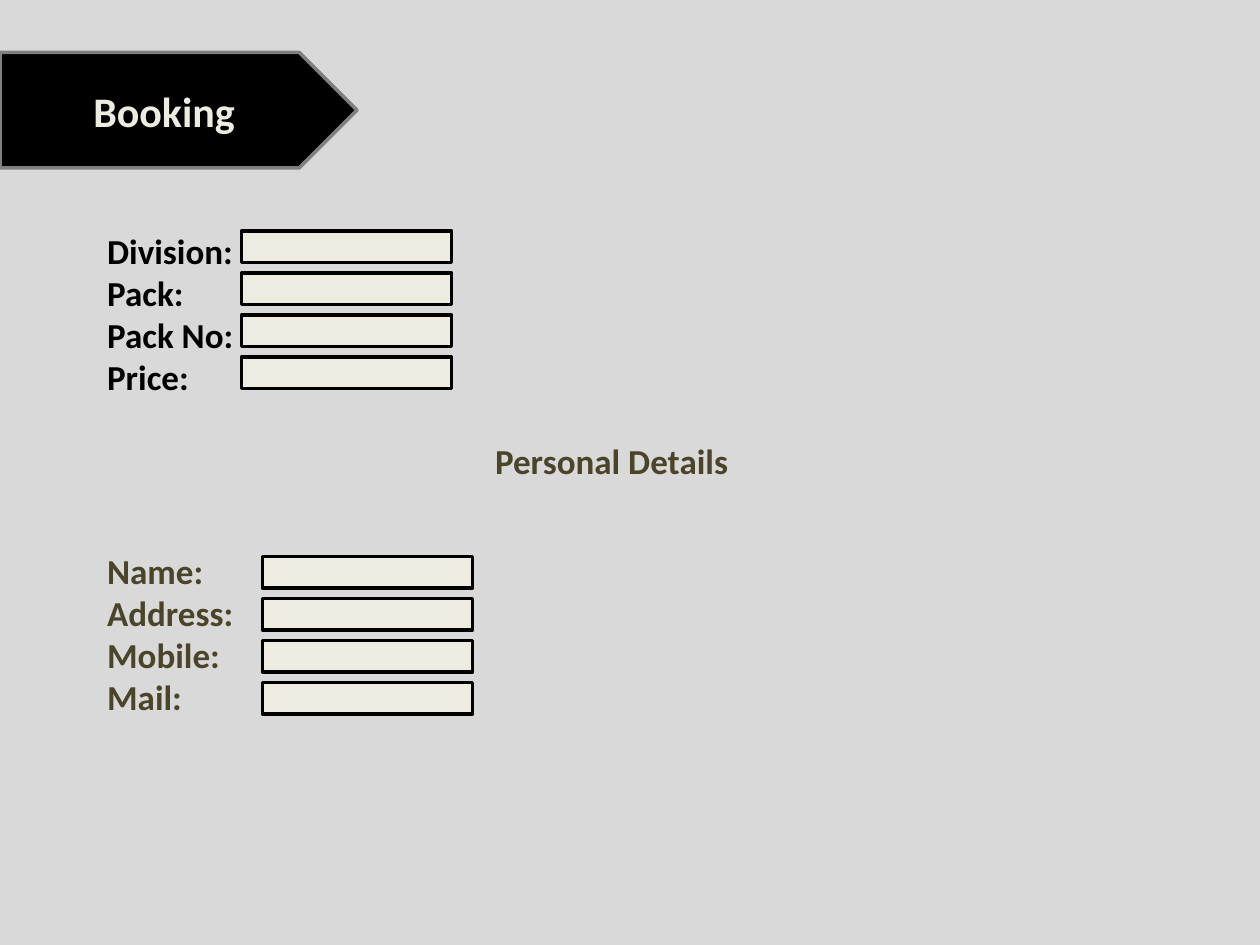
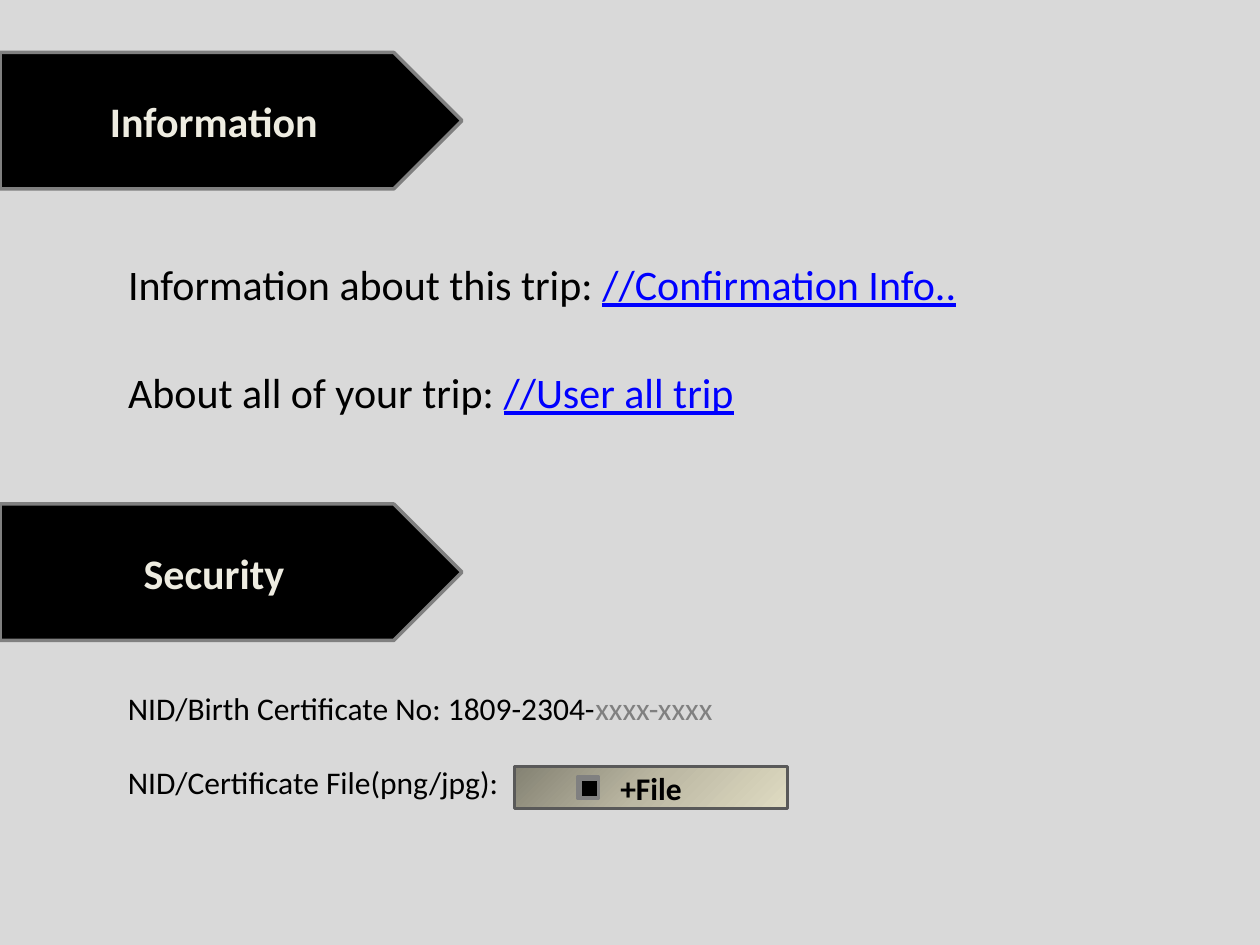
from copy import deepcopy
from pptx import Presentation
from pptx.dml.color import RGBColor
from pptx.enum.shapes import MSO_SHAPE
from pptx.enum.text import MSO_ANCHOR, MSO_AUTO_SIZE, PP_ALIGN
from pptx.oxml.ns import qn
from pptx.util import Inches, Pt

FONT = "Calibri"
BLACK, CREAM, GREY = "000000", "EEECE1", "808080"
OLIVE, BLUE, SLATE, PAPER = "4A452A", "0000FF", "595959", "D9D9D9"
SHADES = [(0, "848273"), (0.5, "BCB8A3"), (1, "DFDBC2")]
TOP = 5


def grid(*cells):
    return [Inches(cell / 12) for cell in cells]


def color(code):
    return RGBColor.from_string(code)


def paint(fill, code):
    fill.solid()
    fill.fore_color.rgb = color(code)


def style(run, size, code, bold=False, line=False):
    font = run.font
    font.name, font.size, font.bold = FONT, Pt(size), bold
    font.underline = line
    font.color.rgb = color(code)


def label(frame, text, size, code):
    frame.text = text
    frame.vertical_anchor = MSO_ANCHOR.MIDDLE
    frame.auto_size = MSO_AUTO_SIZE.NONE
    par = frame.paragraphs[0]
    par.alignment = PP_ALIGN.CENTER
    style(par.runs[0], size, code, bold=True)


def block(slide, kind, box, fill, edge):
    shape = slide.shapes.add_shape(kind, *grid(*box))
    shape.shadow.inherit = False
    paint(shape.fill, fill)
    shape.line.color.rgb = color(edge)
    shape.line.width = Pt(2)
    return shape


def place(shape, box):
    shape.left, shape.top, shape.width, shape.height = grid(*box)


def arrow(slide, top, width, height):
    return block(slide, MSO_SHAPE.PENTAGON, (0, top, width, height), BLACK, GREY)


def head(slide, text, width, height):
    shape = arrow(slide, TOP, width, height)
    title = slide.shapes.title
    place(title, (0, TOP, width - height / 4, height))
    label(title.text_frame, text, 24, CREAM)
    shape.element.addnext(title.element)


def body(slide, box):
    holder = slide.placeholders[1]
    place(holder, box)
    return holder.text_frame


def rows(frame, lines, size, gap, bold=False):
    frame.word_wrap = True
    frame.auto_size = MSO_AUTO_SIZE.NONE
    frame.vertical_anchor = MSO_ANCHOR.TOP
    frame.text = "\n".join("" for line in lines)
    for index, (par, line) in enumerate(zip(frame.paragraphs, lines)):
        par.alignment = PP_ALIGN.LEFT
        par.space_before = Pt(gap if index else 0)
        for text, code in line:
            run = par.add_run()
            run.text = text
            style(run, size, code, bold, code == BLUE)


def fields(slide, left, top, count):
    for row in range(count):
        box = (left, top + 4 * row, 20, 3)
        block(slide, MSO_SHAPE.RECTANGLE, box, CREAM, BLACK)


def shade(shape):
    fill = shape.fill
    fill.gradient()
    fill.gradient_angle = 315
    stops = shape.element.find(".//" + qn("a:gsLst"))
    stops.append(deepcopy(stops[0]))
    for stop, (spot, code) in zip(fill.gradient_stops, SHADES):
        stop.position = spot
        stop.color.rgb = color(code)


def booking(slide):
    head(slide, "Booking", 34, 11)
    pack = ["Division:", "Pack:", "Pack No:", "Price:"]
    user = ["Name:", "Address:", "Mobile:", "Mail:"]
    lines = [[(text, BLACK)] for text in pack]
    lines += [[(text, OLIVE)] for text in ["Personal Details"] + user]
    frame = body(slide, (9, 21.25, 98.5, 65.75))
    rows(frame, lines, 20, 0, bold=True)
    pars = frame.paragraphs
    for par in pars:
        par.line_spacing = Pt(24)
    part = pars[len(pack)]
    part.alignment = PP_ALIGN.CENTER
    part.space_before = Pt(24)
    part.space_after = Pt(39)
    fields(slide, 23, 22, len(pack))
    fields(slide, 25, 53, len(user))


def details(slide):
    head(slide, "Information", 44, 13)
    rows(body(slide, (11, 24, 90, 24)), [
        [("Information about this trip: ", BLACK), ("//Confirmation Info..", BLUE)],
        [("About all of your trip: ", BLACK), ("//User all trip", BLUE)],
    ], 24, 33)
    label(arrow(slide, 48, 44, 13).text_frame, "Security", 24, CREAM)
    note = slide.shapes.add_textbox(*grid(11, 65, 90, 12))
    rows(note.text_frame, [
        [("NID/Birth Certificate No: 1809-2304-", BLACK), ("xxxx-xxxx", GREY)],
        [("NID/Certificate File(png/jpg):", BLACK)],
    ], 18, 21)
    button = block(slide, MSO_SHAPE.RECTANGLE, (49, 73, 26, 4), PAPER, SLATE)
    shade(button)
    label(button.text_frame, "+File", 18, BLACK)
    block(slide, MSO_SHAPE.FLOWCHART_INTERNAL_STORAGE, (55, 74, 2, 2), BLACK, GREY)


def main():
    deck = Presentation()
    deck.slide_width, deck.slide_height = grid(120, 90)
    paint(deck.slide_master.background.fill, PAPER)
    for build in (booking, details):
        build(deck.slides.add_slide(deck.slide_layouts[0]))
    deck.save("out.pptx")


if __name__ == "__main__":
    main()
